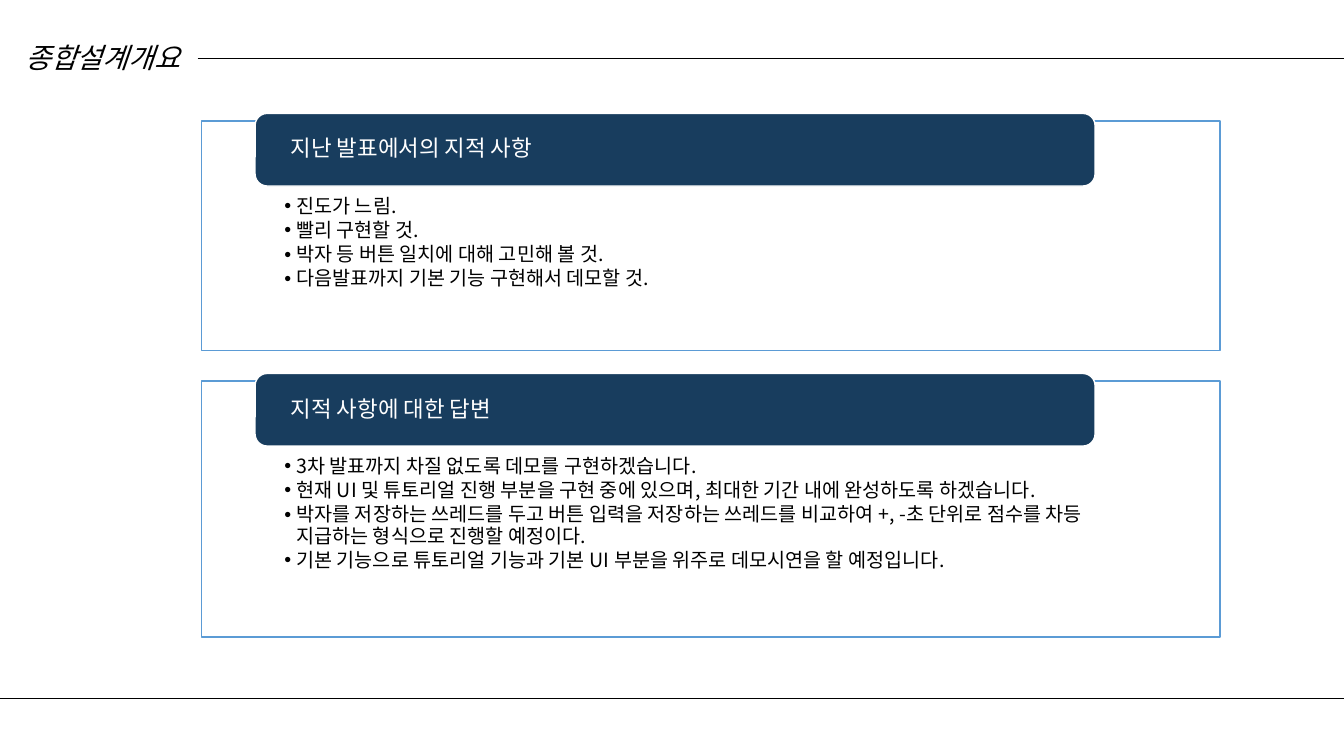
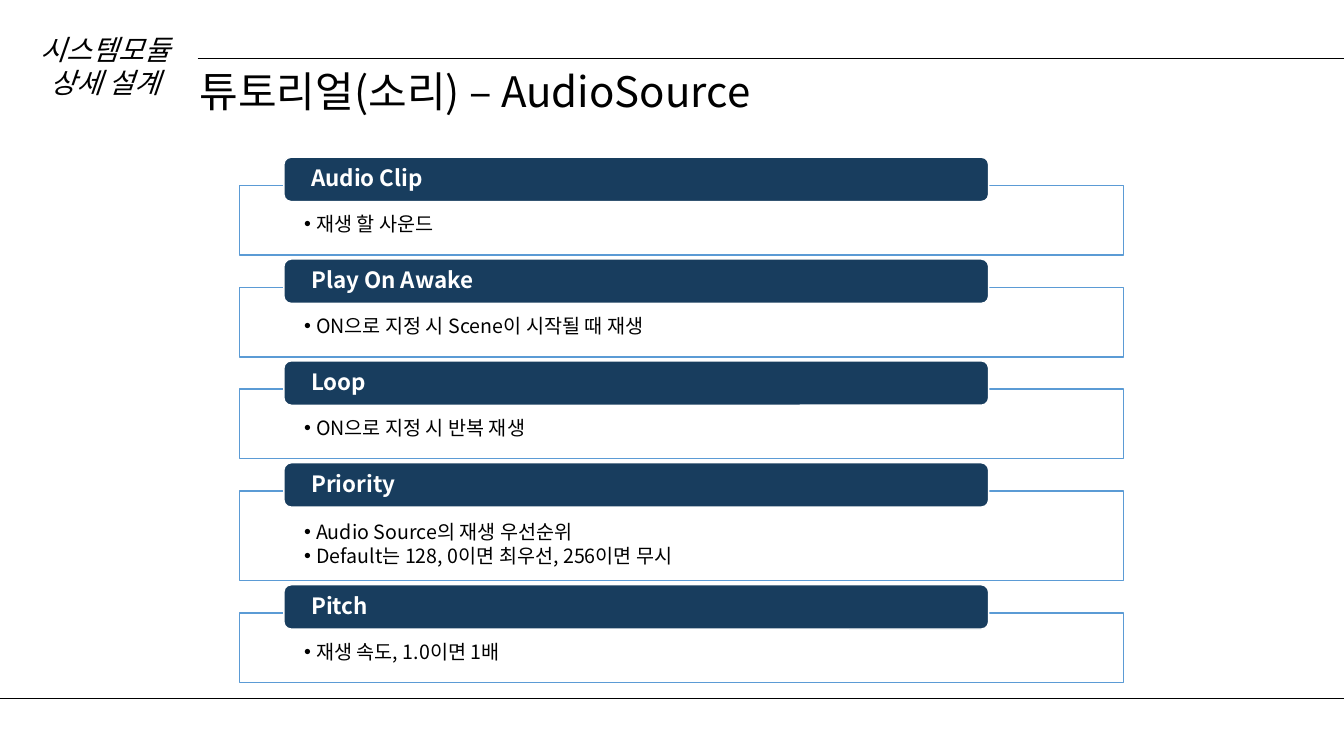
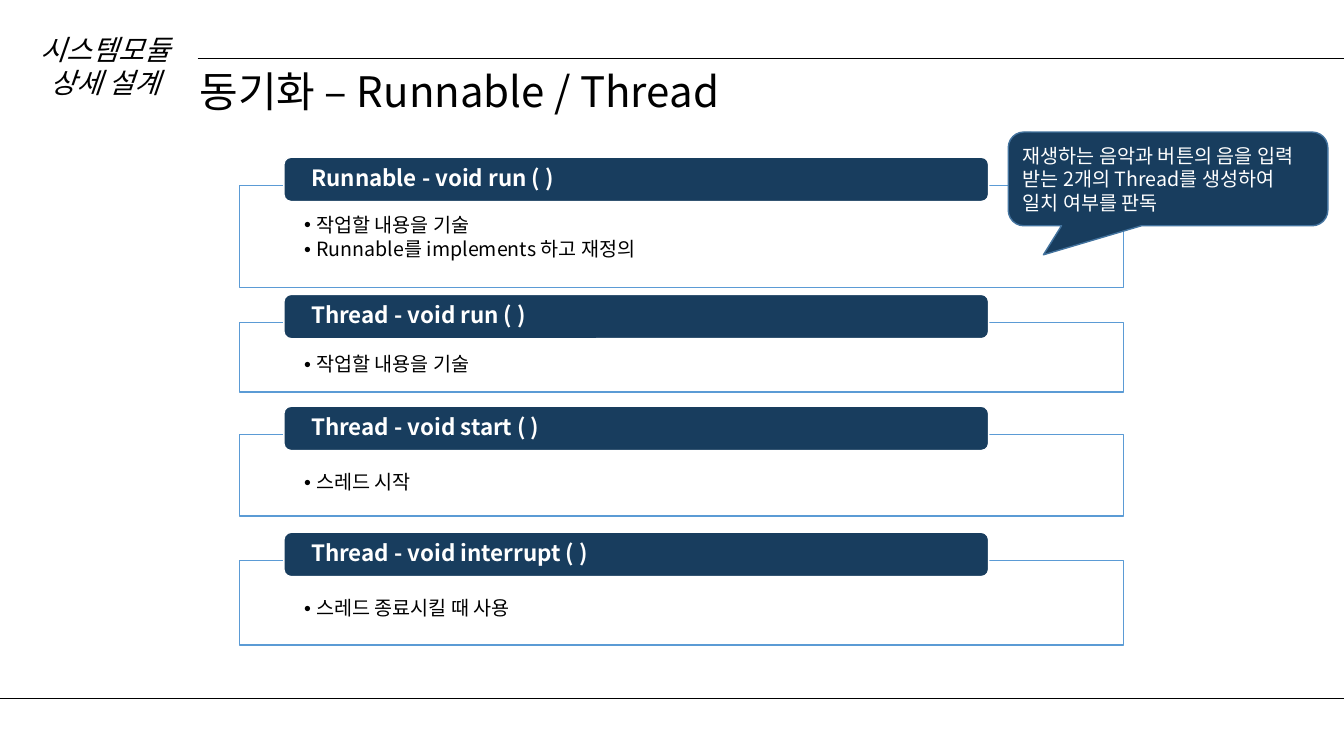
from copy import deepcopy
from dataclasses import dataclass

from lxml import etree
from pptx import Presentation
from pptx.dml.color import RGBColor
from pptx.enum.shapes import MSO_CONNECTOR, MSO_SHAPE
from pptx.enum.text import MSO_ANCHOR, MSO_AUTO_SIZE, PP_ALIGN
from pptx.oxml.ns import qn
from pptx.util import Inches, Pt

NAVY = RGBColor(0x18, 0x3D, 0x5E)
BLUE = RGBColor(0x5B, 0x9B, 0xD5)
STEEL = RGBColor(0x43, 0x73, 0x9E)
BLACK = RGBColor(0, 0, 0)
WHITE = RGBColor(255, 255, 255)
FONT = "Noto Sans CJK KR"
LEFT, CENTER = PP_ALIGN.LEFT, PP_ALIGN.CENTER
TOP, MIDDLE = MSO_ANCHOR.TOP, MSO_ANCHOR.MIDDLE
NO_AUTOFIT = MSO_AUTO_SIZE.NONE
STRAIGHT = MSO_CONNECTOR.STRAIGHT
ROUNDED = MSO_SHAPE.ROUNDED_RECTANGLE
CALLOUT = MSO_SHAPE.ROUNDED_RECTANGULAR_CALLOUT

WIDTH, HEIGHT = Inches(13.33), Inches(7.5)
LIST_COUNT = 5
FIRST_LIST_INDEX = 13
SECTION_BOX = (1.58, 3.6, 12.53, 10.27)
OVERVIEW_BOX = (0, 4.67, 15.3, 5.87)
HEADING_BOX = (14.1, 8, 78.02, 8.13)


@dataclass
class CardStyle:
    """Shared geometry of a stack of cards, in percent of the slide."""
    left: float
    width: float
    top: float
    tab_offset: float
    tab_width: float
    tab_height: float
    tab_lift: float
    tab_inset: float
    list_inset: float
    bold: bool


@dataclass
class Card:
    """One headed list; height, padding and gap are percent of slide height."""
    heading: str
    items: list
    height: float = 9.2
    padding: float = 3.87
    gap: float = 4.27


WIDE = CardStyle(15, 75.77, 16, 3.98, 62.5, 9.6, 1, 2.4, 6.15, False)
COMPACT = CardStyle(17.82, 65.79, 24.53, 3.3, 52.44, 5.87, 3.73, 1.88, 4.8, True)


def across(share):
    """Turn percent of the slide width into a length."""
    return int(WIDTH * share / 100)


def down(share):
    """Turn percent of the slide height into a length."""
    return int(HEIGHT * share / 100)


def lengths(box):
    """Turn a box in percent into left, top, width and height."""
    left, top, width, height = box
    return across(left), down(top), across(width), down(height)


def place(shape, box):
    """Move a shape to a box given in percent."""
    shape.left, shape.top, shape.width, shape.height = lengths(box)


def write(shape, lines, size, color, align=LEFT, anchor=TOP, bold=False, italic=False):
    """Fill a shape with paragraphs in the shared font."""
    frame = shape.text_frame
    frame.text = "\n".join(lines)
    frame.word_wrap = True
    frame.auto_size = NO_AUTOFIT
    frame.vertical_anchor = anchor
    for paragraph in frame.paragraphs:
        paragraph.alignment = align
        for run in paragraph.runs:
            font = run.font
            font.name, font.size = FONT, Pt(size)
            font.bold, font.italic = bold, italic
            font.color.rgb = color
            etree.SubElement(font._element, qn("a:ea"), typeface=FONT)


def paint(shape, fill, line):
    """Give a shape a solid fill and a one point line."""
    shape.fill.solid()
    shape.fill.fore_color.rgb = fill
    shape.line.color.rgb = line
    shape.line.width = Pt(1)


def add_list_placeholders(layout):
    """Extend a one-list layout to the number of lists a slide may need."""
    body = layout.placeholders[1]._element
    for index in range(FIRST_LIST_INDEX, FIRST_LIST_INDEX + LIST_COUNT - 1):
        extra = deepcopy(body)
        properties = extra.find(".//" + qn("p:cNvPr"))
        properties.set("id", str(index))
        properties.set("name", f"Content Placeholder {index}")
        extra.find(".//" + qn("p:ph")).set("idx", str(index))
        body.getparent().append(extra)


def draw_rule(slide, left, top):
    """Draw a thin rule from a point to the right edge."""
    rule = slide.shapes.add_connector(STRAIGHT, across(left), down(top), WIDTH, down(top))
    rule.line.color.rgb = BLACK
    rule.line.width = Pt(0.5)
    etree.SubElement(rule._element.spPr, qn("a:effectLst"))


def draw_list(frame, card, style, top):
    """Turn a list placeholder into the framed body of a card."""
    place(frame, (style.left, top, style.width, card.height))
    paint(frame, WHITE, BLUE)
    fill_color = frame._element.spPr.find(qn("a:solidFill"))[0]
    etree.SubElement(fill_color, qn("a:alpha"), val="90000")
    write(frame, card.items, 14, BLACK)
    text_frame = frame.text_frame
    text_frame.margin_left = text_frame.margin_right = across(style.list_inset)
    text_frame.margin_top = down(card.padding)
    for paragraph in text_frame.paragraphs:
        paragraph.line_spacing = 0.9
        paragraph.space_before = Pt(0)
        paragraph.space_after = Pt(2.1)
        properties = paragraph._p.get_or_add_pPr()
        properties.set("marL", str(Inches(0.12)))
        properties.set("indent", str(-Inches(0.12)))
        etree.SubElement(properties, qn("a:buFont"), typeface="Arial")
        etree.SubElement(properties, qn("a:buChar"), char="•")


def draw_tab(slide, card, style, top):
    """Draw the rounded heading on the upper edge of a card."""
    box = (style.left + style.tab_offset, top - style.tab_lift, style.tab_width, style.tab_height)
    tab = slide.shapes.add_shape(ROUNDED, *lengths(box))
    tab.shadow.inherit = False
    paint(tab, NAVY, WHITE)
    write(tab, [card.heading], 16, WHITE, anchor=MIDDLE, bold=style.bold)
    frame = tab.text_frame
    frame.margin_left = frame.margin_right = across(style.tab_inset)
    frame.margin_top = frame.margin_bottom = 0
    frame.paragraphs[0].line_spacing = 0.9


def draw_cards(slide, cards, style):
    """Stack the cards downwards and drop the unused list placeholders."""
    frames = list(slide.placeholders)[1:]
    top = style.top
    for frame, card in zip(frames, cards):
        draw_list(frame, card, style, top)
        draw_tab(slide, card, style, top)
        top += card.height + card.gap
    for frame in frames[len(cards):]:
        frame._element.getparent().remove(frame._element)


def new_slide(presentation):
    """Add a slide with the upper and lower rules."""
    slide = presentation.slides.add_slide(presentation.slide_layouts[1])
    draw_rule(slide, 14.7, 7.73)
    draw_rule(slide, 0, 92.4)
    return slide


def overview_slide(presentation, title, cards):
    """Build a slide whose title stands beside the upper rule."""
    slide = new_slide(presentation)
    place(slide.shapes.title, OVERVIEW_BOX)
    write(slide.shapes.title, [title], 20, BLACK, CENTER, italic=True)
    draw_cards(slide, cards, WIDE)


def detail_slide(presentation, section, title, cards):
    """Build a slide with a section label and a title below the rule."""
    slide = new_slide(presentation)
    place(slide.shapes.title, HEADING_BOX)
    write(slide.shapes.title, [title], 30, BLACK)
    label = slide.shapes.add_textbox(*lengths(SECTION_BOX))
    write(label, [section], 20, BLACK, CENTER, italic=True)
    draw_cards(slide, cards, COMPACT)
    return slide


def draw_callout(slide, text, box):
    """Draw a speech bubble pointing down to the left."""
    bubble = slide.shapes.add_shape(CALLOUT, *lengths(box))
    bubble.shadow.inherit = False
    bubble.adjustments[0] = -0.39
    bubble.adjustments[1] = 0.81
    paint(bubble, NAVY, STEEL)
    write(bubble, [text], 14, WHITE, anchor=MIDDLE)


def main():
    """Build and save the presentation."""
    presentation = Presentation()
    presentation.slide_width, presentation.slide_height = WIDTH, HEIGHT
    add_list_placeholders(presentation.slide_layouts[1])
    section = "시스템모듈 상세 설계"

    overview_slide(presentation, "종합설계개요", [
        Card("지난 발표에서의 지적 사항", [
            "진도가 느림.",
            "빨리 구현할 것.",
            "박자 등 버튼 일치에 대해 고민해 볼 것.",
            "다음발표까지 기본 기능 구현해서 데모할 것.",
        ], 30.4, 10, 4),
        Card("지적 사항에 대한 답변", [
            "3차 발표까지 차질 없도록 데모를 구현하겠습니다.",
            "현재 UI 및 튜토리얼 진행 부분을 구현 중에 있으며, "
            "최대한 기간 내에 완성하도록 하겠습니다.",
            "박자를 저장하는 쓰레드를 두고 버튼 입력을 저장하는 쓰레드를 비교하여 "
            "+, -초 단위로 점수를 차등 지급하는 형식으로 진행할 예정이다.",
            "기본 기능으로 튜토리얼 기능과 기본 UI 부분을 위주로 데모시연을 할 예정입니다.",
        ], 33.87, 10),
    ])

    detail_slide(presentation, section, "튜토리얼(소리) – AudioSource", [
        Card("Audio Clip", ["재생 할 사운드"]),
        Card("Play On Awake", ["ON으로 지정 시 Scene이 시작될 때 재생"]),
        Card("Loop", ["ON으로 지정 시 반복 재생"]),
        Card("Priority", [
            "Audio Source의 재생 우선순위",
            "Default는 128, 0이면 최우선, 256이면 무시",
        ], 11.87, 4.13),
        Card("Pitch", ["재생 속도, 1.0이면 1배"]),
    ])

    threads = detail_slide(presentation, section, "동기화 – Runnable / Thread", [
        Card("Runnable - void run ( )", [
            "작업할 내용을 기술",
            "Runnable를 implements 하고 재정의",
        ], 13.47, 4, 4.67),
        Card("Thread - void run ( )", ["작업할 내용을 기술"], 9.2, 4.27, 5.6),
        Card("Thread - void start ( )", ["스레드 시작"], 10.8, 5.07, 5.87),
        Card("Thread - void interrupt ( )", ["스레드 종료시킬 때 사용"], 11.2, 5.07),
    ])
    draw_callout(
        threads,
        "재생하는 음악과 버튼의 음을 입력 받는 2개의 Thread를 생성하여 일치 여부를 판독",
        (75.02, 17.47, 23.78, 12.4),
    )
    presentation.save("out.pptx")


main()
